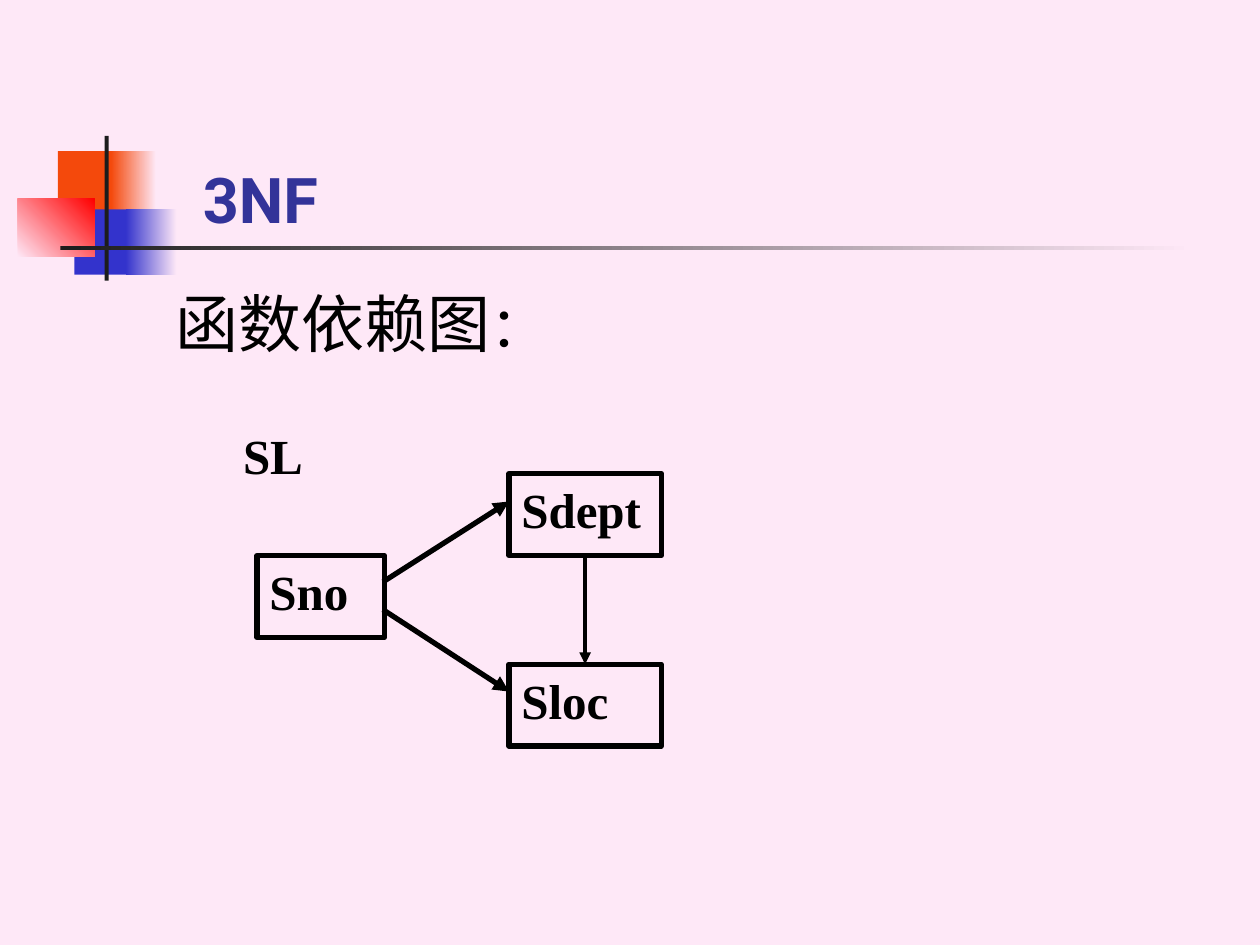
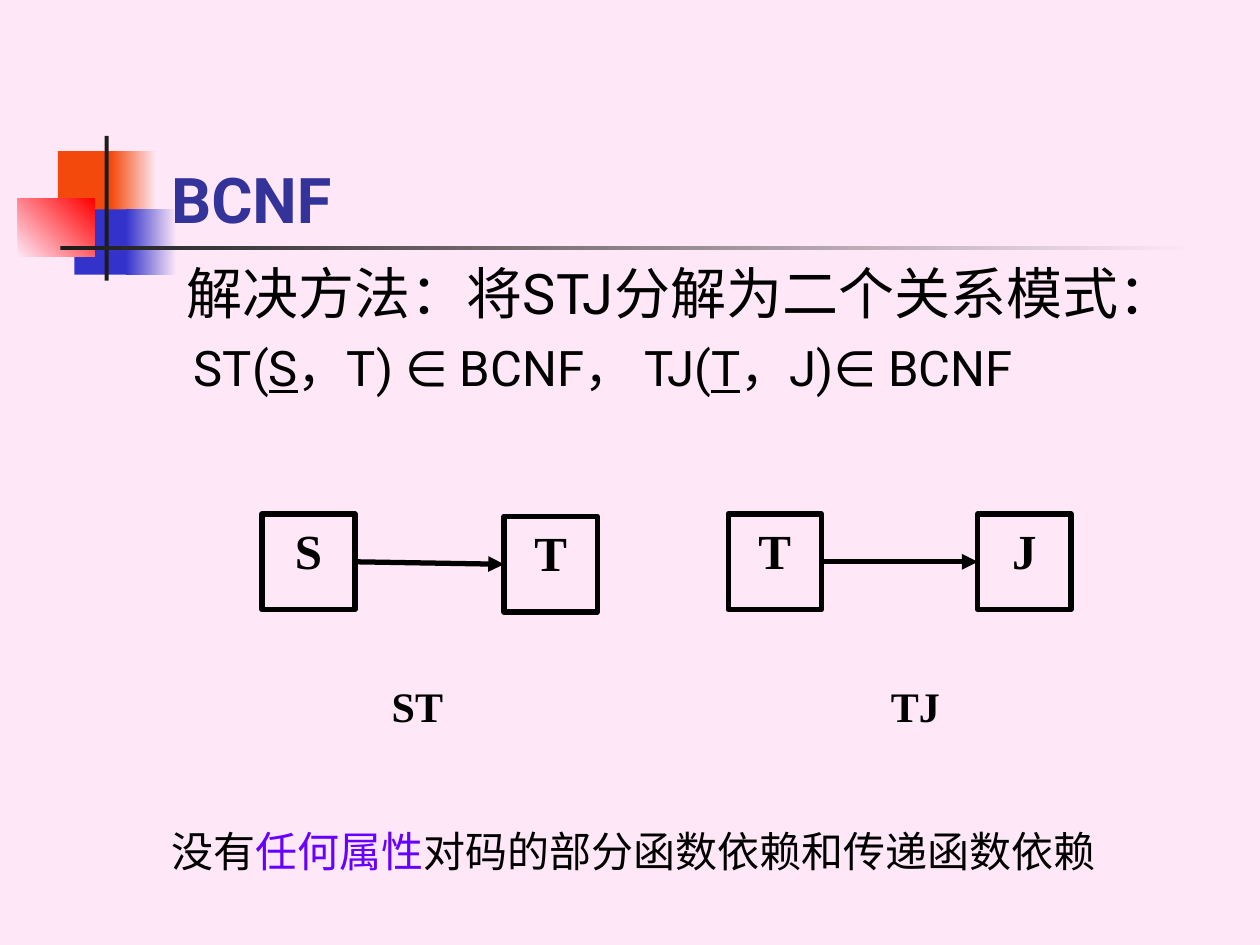
"""Builds two slides on functional dependencies in 3NF and BCNF."""
from dataclasses import dataclass

import lxml.etree
import pptx
import pptx.dml.color
import pptx.enum.shapes
import pptx.enum.text
import pptx.oxml.ns
import pptx.util

Cm = pptx.util.Cm
Pt = pptx.util.Pt
RECTANGLE = pptx.enum.shapes.MSO_SHAPE.RECTANGLE
STRAIGHT = pptx.enum.shapes.MSO_CONNECTOR.STRAIGHT
Align = pptx.enum.text.PP_ALIGN
Anchor = pptx.enum.text.MSO_ANCHOR
TOP, LEFT, BOTTOM, RIGHT = range(4)


@dataclass(frozen=True)
class Theme:
    background: str = "FEE8F7"
    orange: str = "F4490C"
    blue: str = "3333CC"
    red: str = "FF0000"
    dark: str = "1C1C1C"
    title: str = "333399"
    ink: str = "000000"
    accent: str = "6600FF"
    sans: str = "Roboto"
    serif: str = "Times New Roman"
    heading_size: int = 36
    lead_size: int = 32
    body_size: int = 28
    small_size: int = 24
    thick: float = 3
    thin: float = 2.25


def rgb(value):
    return pptx.dml.color.RGBColor.from_string(value)


class SlideBuilder:
    def __init__(self, theme):
        self.theme = theme
        self.deck = pptx.Presentation()
        self.deck.slide_width, self.deck.slide_height = Cm(25.4), Cm(19.05)
        self.page = None

    def new_page(self, title, title_left):
        theme = self.theme
        self.page = self.deck.slides.add_slide(self.deck.slide_layouts[6])
        self.page.background.fill.solid()
        self.page.background.fill.fore_color.rgb = rgb(theme.background)
        self.block(1.17, 3.05, 1.22, 1.32, theme.orange)
        self.block(2.24, 3.05, 0.91, 1.32, theme.orange, theme.background)
        self.block(1.5, 4.22, 1.17, 1.32, theme.blue)
        self.block(2.54, 4.22, 1.02, 1.32, theme.blue, theme.background)
        self.block(0.36, 4.01, 1.55, 1.17, theme.background, theme.red, 45)
        self.block(2.11, 2.74, 0.08, 2.92, theme.dark)
        self.block(1.22, 4.95, 22.86, 0.09, theme.dark, theme.background)
        box = self.text(title_left, 1.7, 21, 3.18, [title], theme.heading_size,
                        color=theme.title, bold=True)
        box.text_frame.vertical_anchor = Anchor.BOTTOM

    def block(self, left, top, width, height, color, end_color=None, angle=0):
        shape = self.page.shapes.add_shape(
            RECTANGLE, Cm(left), Cm(top), Cm(width), Cm(height))
        shape.shadow.inherit = False
        shape.line.fill.background()
        if end_color is None:
            shape.fill.solid()
            shape.fill.fore_color.rgb = rgb(color)
            return
        shape.fill.gradient()
        shape.fill.gradient_angle = angle
        for stop, stop_color in zip(shape.fill.gradient_stops, (color, end_color)):
            stop.color.rgb = rgb(stop_color)

    def fill_paragraph(self, para, spans, size, font=None, color=None, bold=False,
                       align=Align.LEFT):
        for text, style in (s if isinstance(s, tuple) else (s, {}) for s in spans):
            span = para.add_run()
            span.text = text
            if "size" in style:
                span.font.size = Pt(style["size"])
            if "color" in style:
                span.font.color.rgb = rgb(style["color"])
            if "underline" in style:
                span.font.underline = style["underline"]
        para.alignment = align
        para.font.name = font or self.theme.sans
        para.font.size = Pt(size)
        para.font.bold = bold
        para.font.color.rgb = rgb(color or self.theme.ink)

    def text(self, left, top, width, height, spans, size, **style):
        box = self.page.shapes.add_textbox(
            Cm(left), Cm(top), Cm(width), Cm(height))
        box.text_frame.word_wrap = True
        self.fill_paragraph(box.text_frame.paragraphs[0], spans, size, **style)
        return box

    def label(self, left, top, width, height, name, size, align=Align.LEFT):
        return self.text(left, top, width, height, [name], size,
                         font=self.theme.serif, bold=True, align=align)

    def node(self, left, top, width, height, name, align=Align.LEFT):
        box = self.page.shapes.add_shape(
            RECTANGLE, Cm(left), Cm(top), Cm(width), Cm(height))
        box.shadow.inherit = False
        box.fill.background()
        box.line.color.rgb = rgb(self.theme.ink)
        box.line.width = Pt(self.theme.thick)
        box.text_frame.word_wrap = True
        box.text_frame.vertical_anchor = Anchor.TOP
        self.fill_paragraph(box.text_frame.paragraphs[0], [name], self.theme.body_size,
                            font=self.theme.serif, bold=True, align=align)
        return box

    def arrow(self, start=(0, 0), end=(0, 0), width=None):
        line = self.page.shapes.add_connector(
            STRAIGHT, *(Cm(value) for value in (*start, *end)))
        line.line.color.rgb = rgb(self.theme.ink)
        line.line.width = Pt(width or self.theme.thick)
        qn = pptx.oxml.ns.qn
        properties = line._element.spPr
        outline = properties.find(qn("a:ln"))
        lxml.etree.SubElement(outline, qn("a:tailEnd"), type="triangle")
        lxml.etree.SubElement(properties, qn("a:effectLst"))
        return line

    def join(self, source, source_side, target, target_side, width=None):
        line = self.arrow(width=width)
        line.begin_connect(source, source_side)
        line.end_connect(target, target_side)


def build_3nf(slides):
    theme = slides.theme
    slides.new_page("3NF", 3.84)
    slides.text(3.28, 5.61, 21.59, 2, ["函数依赖图", ("：", {"size": theme.lead_size})],
                theme.heading_size)
    slides.label(4.65, 8.46, 3.07, 1.65, "SL", theme.body_size)
    slides.node(5.18, 11.2, 2.57, 1.65, "Sno")
    sdept = slides.node(10.26, 9.55, 3.07, 1.65, "Sdept")
    sloc = slides.node(10.26, 13.39, 3.07, 1.65, "Sloc")
    slides.arrow((7.72, 11.73), (10.26, 10.11))
    slides.arrow((7.72, 12.29), (10.26, 13.94))
    slides.join(sdept, BOTTOM, sloc, TOP, theme.thin)


def build_bcnf(slides):
    theme = slides.theme
    slides.new_page("BCNF", 3.2)
    body = slides.text(3.51, 5.08, 20.62, 4.4,
                       ["解决方法：将STJ分解为二个关系模式："], theme.lead_size)
    schemas = body.text_frame.add_paragraph()
    schemas._p.get_or_add_pPr().set("marL", str(Cm(0.15)))
    schemas.space_before = Pt(7)
    key = {"underline": True}
    slides.fill_paragraph(schemas, ["ST(", ("S", key), "，T) ∈ BCNF， TJ(", ("T", key),
                                    "，J)∈ BCNF"], theme.body_size)

    diagrams = [("S", 5.28, 10.36, "T", 10.16, 10.41, "ST", 7.16),
                ("T", 14.68, 10.36, "J", 19.71, 10.36, "TJ", 17.2)]
    for (source, source_left, source_top, target, target_left, target_top,
         name, name_left) in diagrams:
        first = slides.node(source_left, source_top, 1.88, 1.93, source, Align.CENTER)
        second = slides.node(target_left, target_top, 1.88, 1.93, target, Align.CENTER)
        slides.join(first, RIGHT, second, LEFT)
        slides.label(name_left, 13.59, 2.51, 1.93, name, theme.small_size, Align.CENTER)

    slides.text(3.2, 16.51, 20.5, 1.5,
                ["没有", ("任何属性", {"color": theme.accent}),
                 "对码的部分函数依赖和传递函数依赖"], theme.small_size)


def main():
    slides = SlideBuilder(Theme())
    build_3nf(slides)
    build_bcnf(slides)
    slides.deck.save("out.pptx")


if __name__ == "__main__":
    main()
